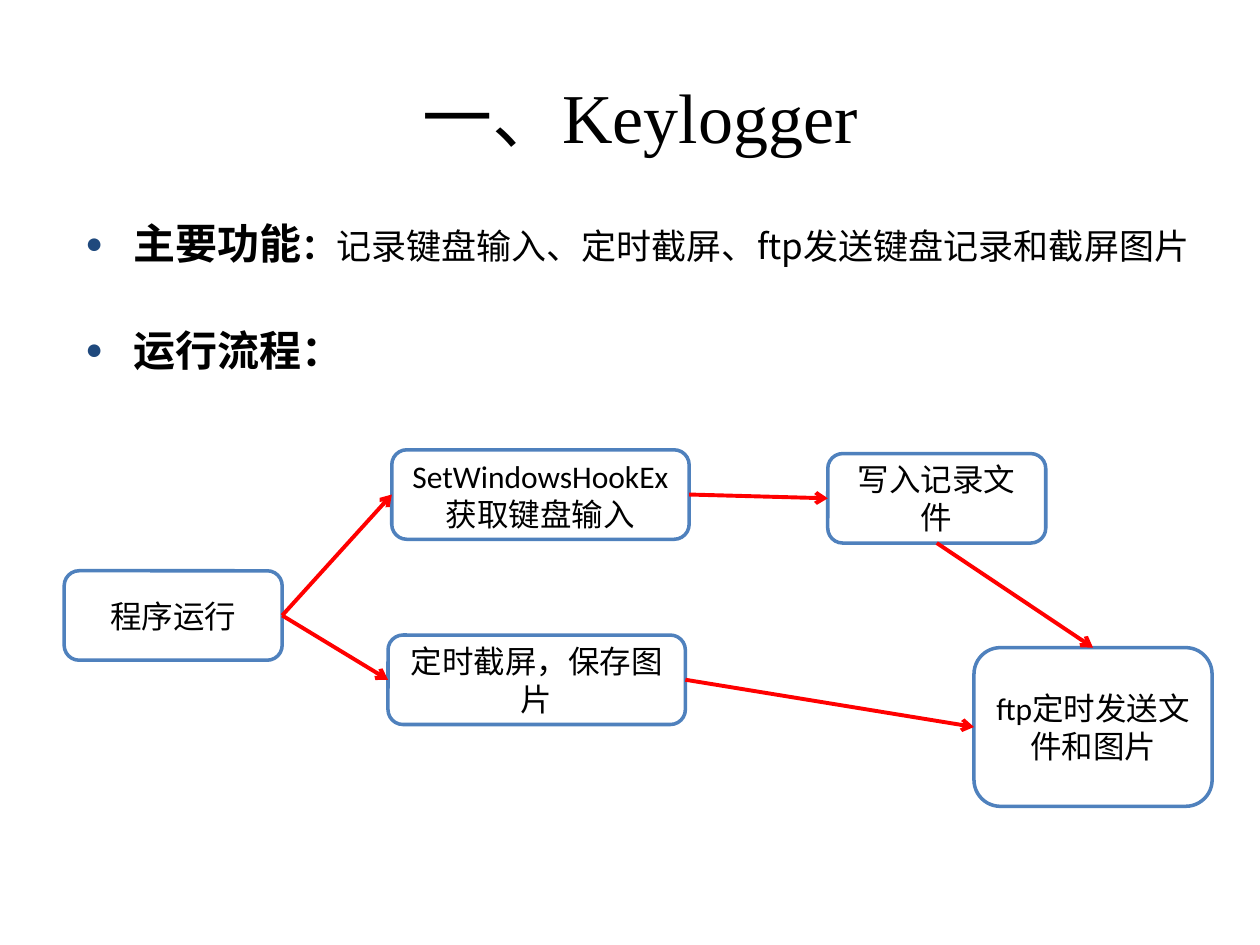
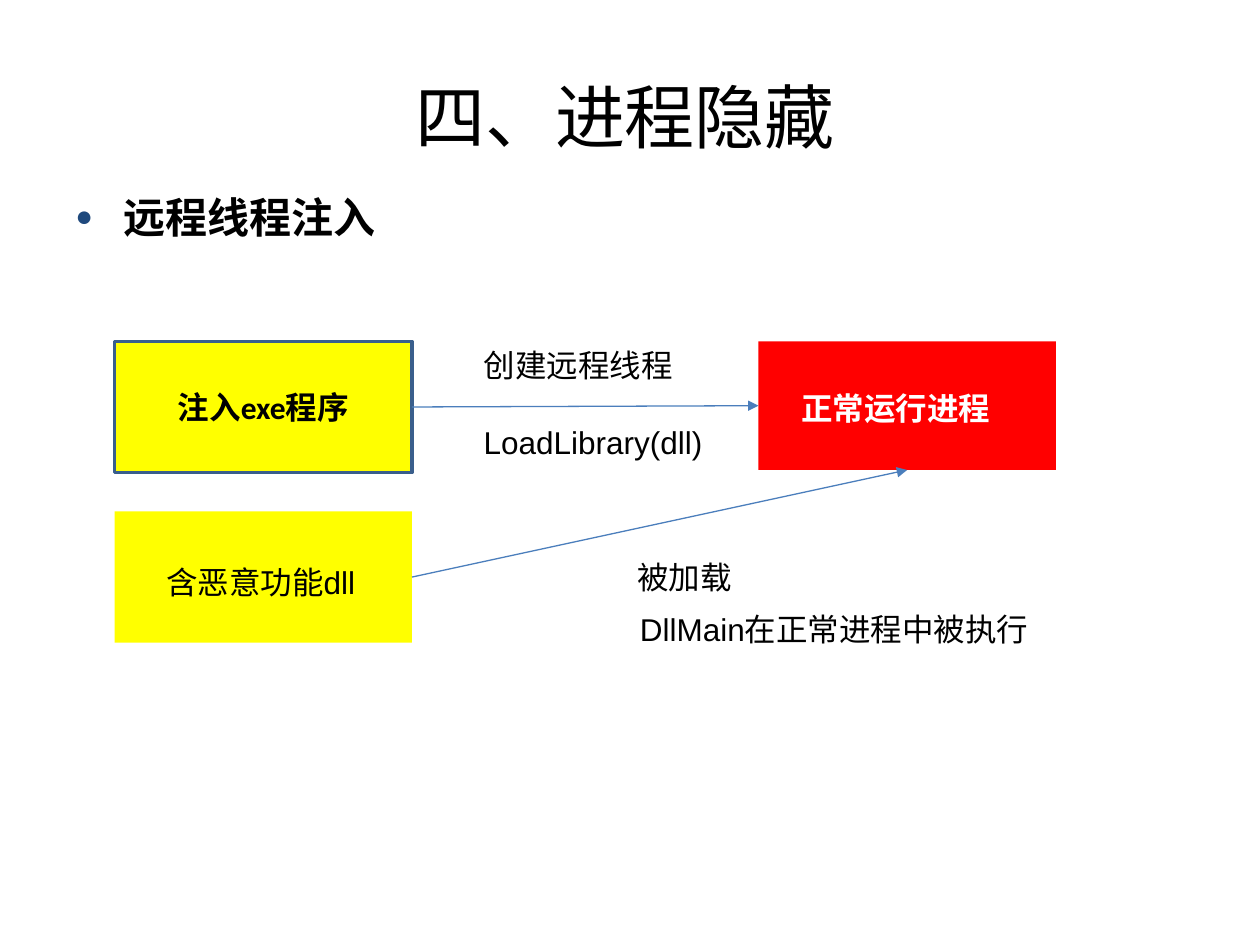
import pptx
import pptx.dml.color
import pptx.enum.shapes
import pptx.enum.text
import pptx.oxml
import pptx.oxml.ns
import pptx.util

Inches, Pt = pptx.util.Inches, pptx.util.Pt
RGBColor = pptx.dml.color.RGBColor
MSO_SHAPE = pptx.enum.shapes.MSO_SHAPE
PP_ALIGN = pptx.enum.text.PP_ALIGN
MSO_ANCHOR = pptx.enum.text.MSO_ANCHOR

BLACK = RGBColor(0x00, 0x00, 0x00)
WHITE = RGBColor(0xFF, 0xFF, 0xFF)
RED = RGBColor(0xFF, 0x00, 0x00)
YELLOW = RGBColor(0xFF, 0xFF, 0x00)
BOX_BLUE = RGBColor(0x4F, 0x81, 0xBD)
EDGE_BLUE = RGBColor(0x3A, 0x5F, 0x8C)
ARROW_BLUE = RGBColor(0x4B, 0x7E, 0xBC)
BULLET_BLUE = RGBColor(0x1F, 0x49, 0x7D)

TOP, LEFT, BOTTOM, RIGHT = range(4)
HEADING = {"name": "Noto Sans CJK SC", "size": Pt(24), "bold": True}
DETAIL = {"name": "Noto Sans CJK SC", "size": Pt(20)}
LABEL = {"name": "Arial", "size": Pt(18)}
BOX_TEXT = {"name": "Calibri", "size": Pt(18)}


class Deck:
    """Holds the style and the slide being drawn."""

    def __init__(self):
        self.prs = pptx.Presentation()
        self.prs.slide_width, self.prs.slide_height = Inches(10), Inches(7.5)
        self.s = None

    def slide(self, title, left, font):
        self.s = self.prs.slides.add_slide(self.prs.slide_layouts[6])
        tf = self.textbox(left, 0.68, 8.58, 0.47)
        tf.vertical_anchor = MSO_ANCHOR.MIDDLE
        tf.paragraphs[0].alignment = PP_ALIGN.CENTER
        self.run(tf.paragraphs[0], title, {"name": font, "size": Pt(40)})

    def textbox(self, x, y, w, h):
        tf = self.s.shapes.add_textbox(*map(Inches, (x, y, w, h))).text_frame
        tf.word_wrap = True
        return tf

    def run(self, p, text, style, color=BLACK):
        r = p.add_run()
        r.text = text
        for key, value in style.items():
            setattr(r.font, key, value)
        r.font.color.rgb = color

    def bullets(self, x, y, w, h, items, gap=0):
        """Each item is a list of (text, style) runs."""
        tf = self.textbox(x, y, w, h)
        for i, item in enumerate(items):
            p = tf.add_paragraph() if i else tf.paragraphs[0]
            p.space_before = Pt(gap if i else 0)
            self.bullet_mark(p)
            for text, style in item:
                self.run(p, text, style)

    def bullet_mark(self, p):
        pPr = p._p.get_or_add_pPr()
        pPr.set("marL", str(Inches(0.38)))
        pPr.set("indent", str(-Inches(0.38)))
        ns = pptx.oxml.ns.nsdecls("a")
        for xml in (f'<a:buClr {ns}><a:srgbClr val="{BULLET_BLUE}"/></a:buClr>',
                    f'<a:buSzPct {ns} val="70000"/>',
                    f'<a:buFont {ns} typeface="Arial"/>',
                    f'<a:buChar {ns} char="●"/>'):
            pPr.append(pptx.oxml.parse_xml(xml))

    def label(self, x, y, w, h, lines, color=BLACK, bold=False, gap=0):
        tf = self.textbox(x, y, w, h)
        tf.auto_size = pptx.enum.text.MSO_AUTO_SIZE.SHAPE_TO_FIT_TEXT
        for i, line in enumerate(lines):
            p = tf.add_paragraph() if i else tf.paragraphs[0]
            p.space_before = Pt(gap if i else 0)
            self.run(p, line, {**LABEL, "bold": bold}, color)

    def box(self, kind, x, y, w, h, fill, line=None, text="", bold=False):
        sp = self.s.shapes.add_shape(kind, *map(Inches, (x, y, w, h)))
        sp.shadow.inherit = False
        sp.fill.solid()
        sp.fill.fore_color.rgb = fill
        if line is None:
            sp.line.fill.background()
        else:
            sp.line.color.rgb = line
            sp.line.width = Pt(2)
        if text:
            tf = sp.text_frame
            tf.word_wrap = True
            tf.vertical_anchor = MSO_ANCHOR.MIDDLE
            tf.paragraphs[0].alignment = PP_ALIGN.CENTER
            self.run(tf.paragraphs[0], text, {**BOX_TEXT, "bold": bold})
        return sp

    def step(self, x, y, w, h, text):
        return self.box(MSO_SHAPE.ROUNDED_RECTANGLE, x, y, w, h, WHITE, BOX_BLUE, text)

    def arrow(self, start, start_side, end, end_side, color, width, head):
        c = self.s.shapes.add_connector(
            pptx.enum.shapes.MSO_CONNECTOR.STRAIGHT, 0, 0, 0, 0)
        c.begin_connect(start, start_side)
        c.end_connect(end, end_side)
        c.line.color.rgb = color
        c.line.width = Pt(width)
        ns = pptx.oxml.ns.nsdecls("a")
        c.line._get_or_add_ln().append(
            pptx.oxml.parse_xml(f'<a:tailEnd {ns} type="{head}"/>'))
        c._element.spPr.append(pptx.oxml.parse_xml(f"<a:effectLst {ns}/>"))


def keylogger_slide(deck):
    deck.slide("一、Keylogger", 0.79, "Times New Roman")
    deck.bullets(0.58, 1.68, 9.3, 4.82, [
        [("主要功能", HEADING), ("：", {**DETAIL, "bold": True}),
         ("记录键盘输入、定时截屏、ftp发送键盘记录和截屏图片", DETAIL)],
        [("运行流程：", HEADING)],
    ], gap=32)

    # Flow steps
    start = deck.step(0.51, 4.53, 1.73, 0.71, "程序运行")
    hook = deck.step(3.11, 3.57, 2.36, 0.71, "SetWindowsHookEx获取键盘输入")
    log = deck.step(6.57, 3.6, 1.73, 0.71, "写入记录文件")
    capture = deck.step(3.08, 5.04, 2.36, 0.71, "定时截屏，保存图片")
    send = deck.step(7.73, 5.14, 1.89, 1.26, "ftp定时发送文件和图片")

    # Flow arrows
    for link in ((start, RIGHT, hook, LEFT), (start, RIGHT, capture, LEFT),
                 (hook, RIGHT, log, LEFT), (capture, RIGHT, send, LEFT),
                 (log, BOTTOM, send, TOP)):
        deck.arrow(*link, RED, 2.25, "arrow")


def hiding_slide(deck):
    deck.slide("四、进程隐藏", 0.67, "Roboto")
    deck.bullets(0.5, 1.47, 9, 5.23, [[("远程线程注入", HEADING)]])

    # Programs and the target process
    rect = MSO_SHAPE.RECTANGLE
    process = deck.box(rect, 6.02, 2.71, 2.36, 1.02, RED)
    injector = deck.box(rect, 0.91, 2.71, 2.36, 1.04, YELLOW, EDGE_BLUE,
                        "注入exe程序", bold=True)
    library = deck.box(rect, 0.91, 4.06, 2.36, 1.04, YELLOW)

    # Arrows into the process
    deck.arrow(injector, RIGHT, process, LEFT, ARROW_BLUE, 0.75, "triangle")
    deck.arrow(library, RIGHT, process, BOTTOM, ARROW_BLUE, 0.75, "triangle")

    # Labels
    deck.label(6.26, 3.04, 1.81, 0.4, ["正常运行进程"], WHITE, bold=True)
    deck.label(3.74, 2.7, 1.97, 1.01, ["创建远程线程", "LoadLibrary(dll)"], gap=22)
    deck.label(1.22, 4.42, 1.73, 0.4, ["含恶意功能dll"])
    deck.label(4.96, 4.38, 1.3, 0.4, ["被加载"])
    deck.label(4.98, 4.79, 3.43, 0.4, ["DllMain在正常进程中被执行"])


def main():
    deck = Deck()
    keylogger_slide(deck)
    hiding_slide(deck)
    deck.prs.save("out.pptx")


if __name__ == "__main__":
    main()
